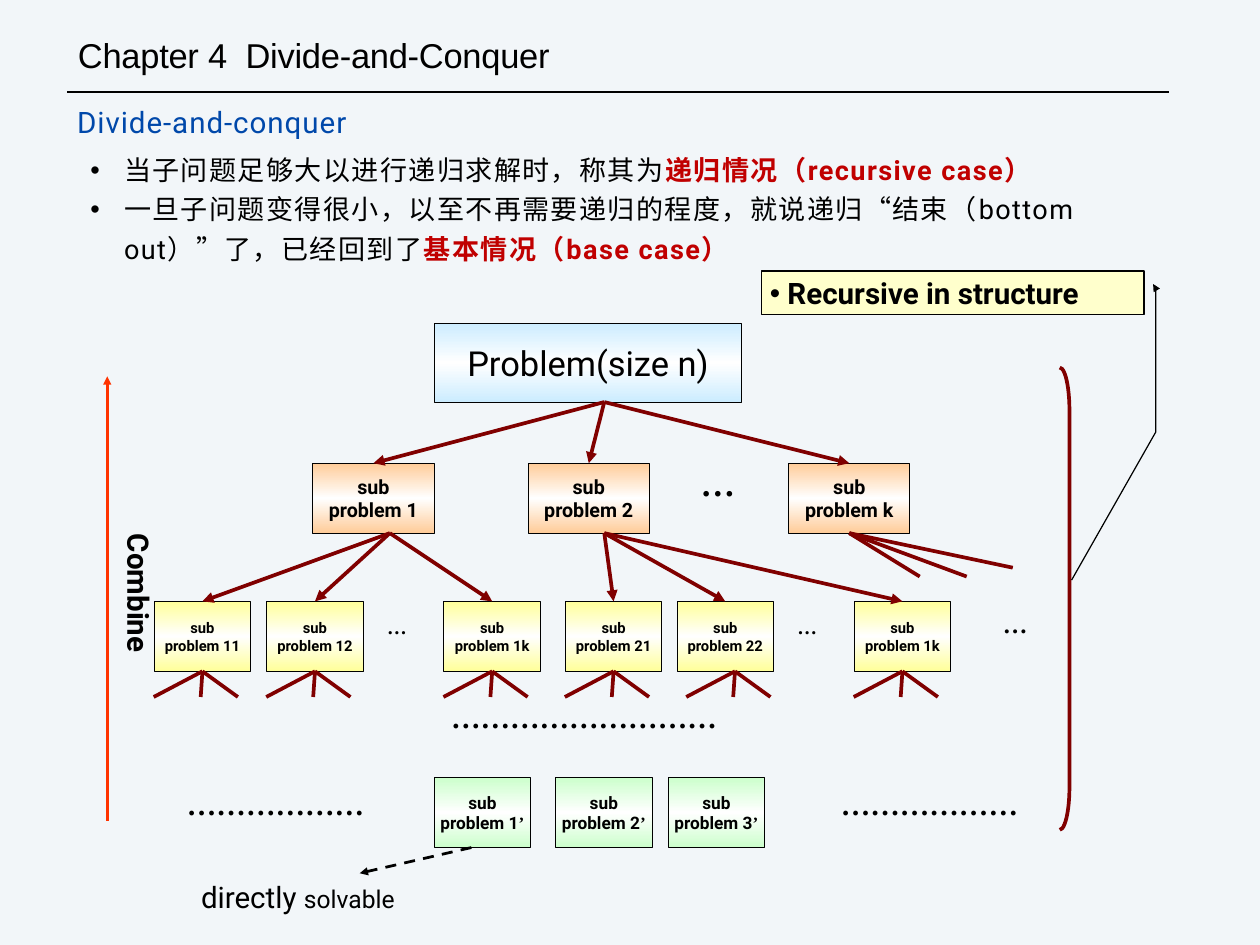
from copy import deepcopy
from dataclasses import dataclass

from pptx import Presentation
from pptx.dml.color import RGBColor
from pptx.enum.dml import MSO_LINE
from pptx.enum.shapes import MSO_CONNECTOR, MSO_SHAPE
from pptx.enum.text import MSO_ANCHOR, MSO_AUTO_SIZE, PP_ALIGN
from pptx.oxml.ns import qn
from pptx.util import Inches, Pt
from lxml.etree import SubElement


@dataclass(frozen=True)
class Theme:
    background: str = "F2F6F9"
    ink: str = "000000"
    heading: str = "0048AA"
    accent: str = "C00000"
    branch: str = "800000"
    combine: str = "FF3300"
    note: str = "FFFFCC"
    root: str = "CCECFF"
    middle: str = "FFCC99"
    lower: str = "FFFF99"
    base: str = "CCFFCC"
    sans: str = "Roboto"
    serif: str = "Times New Roman"
    title_font: str = "Arial"
    title_size: int = 28
    heading_size: int = 24
    body_size: int = 22
    middle_size: int = 16
    lower_size: int = 12
    base_size: int = 14


THEME = Theme()

TITLE = "Chapter 4  Divide-and-Conquer"
HEADING = "Divide-and-conquer"
# (text, emphasised) runs of each bullet
BULLETS = [
    [("当子问题足够大以进行递归求解时，称其为", False), ("递归情况（recursive case）", True)],
    [("一旦子问题变得很小，以至不再需要递归的程度，就说递归“结束（bottom out）”了，已经回到了", False),
     ("基本情况（base case）", True)],
]
# (name, left)
MIDDLE = [("1", 3.53), ("2", 5.96), ("k", 8.9)]
LOWER = [("11", 1.74), ("12", 3.01), ("1k", 5.01), ("21", 6.38), ("22", 7.64), ("1k", 9.64)]
BASE = [("1", 4.9), ("2", 6.27), ("3", 7.54)]
# (text, left, top, width, height, size)
ELLIPSES = [("…", 7.81, 5.17, 0.75, 0.67, 28), ("…", 4.27, 6.89, 0.54, 0.44, 16),
            ("…", 8.9, 6.89, 0.54, 0.44, 16), ("…", 11.22, 6.83, 0.61, 0.51, 20)]
DOTTED_ROWS = [("………………………", 3.85, 7.89, 5.48), ("………………", 1.74, 8.88, 2.74),
               ("………………", 9.12, 8.88, 2.74)]

MIDDLE_TOP, LOWER_TOP, BASE_TOP = 5.23, 6.79, 8.78
MIDDLE_WIDTH, LOWER_WIDTH, BOX_HEIGHT = 1.37, 1.09, 0.79
ROOT_FORK = (6.82, 4.54)
MIDDLE_BOTTOM, LOWER_BOTTOM = MIDDLE_TOP + BOX_HEIGHT, LOWER_TOP + BOX_HEIGHT
MIDDLE_FORKS = [4.4, 6.82]
OPEN_BRANCHES = [(10.38, 6.51), (10.91, 6.51), (11.43, 6.41)]
FOOT_OFFSETS, FEET_BOTTOM = (-0.55, -0.02, 0.4), 7.87
SHIFTED_FEET = {"22": 0.11}
TOP, BOTTOM = 0, 2

presentation = Presentation()
presentation.slide_width, presentation.slide_height = Inches(14.22), Inches(10.67)
slide = presentation.slides.add_slide(presentation.slide_layouts[5])
slide.background.fill.solid()
slide.background.fill.fore_color.rgb = RGBColor.from_string(THEME.background)


def add_run(paragraph, text, size, font=THEME.sans, color=THEME.ink, bold=False, spacing=0):
    run = paragraph.add_run()
    run.text = text
    run.font.size, run.font.name, run.font.bold = Pt(size), font, bold
    run.font.color.rgb = RGBColor.from_string(color)
    if spacing:
        run._r.get_or_add_rPr().set("spc", str(round(spacing * 100)))


def add_bullet(paragraph, margin=0.0, indent=0.0):
    properties = paragraph._p.get_or_add_pPr()
    properties.set("marL", str(Inches(margin)))
    properties.set("indent", str(Inches(indent)))
    SubElement(properties, qn("a:buFont")).set("typeface", "Arial")
    SubElement(properties, qn("a:buChar")).set("char", "•")


def set_frame(frame, insets=(0.1, 0.05, 0.1, 0.05), wrap=True, anchor=MSO_ANCHOR.TOP,
              fit=MSO_AUTO_SIZE.NONE):
    left, top, right, bottom = map(Inches, insets)
    frame.margin_left, frame.margin_top = left, top
    frame.margin_right, frame.margin_bottom = right, bottom
    frame.auto_size, frame.word_wrap, frame.vertical_anchor = fit, wrap, anchor
    return frame


def add_text(left, top, width, height, **frame_options):
    box = slide.shapes.add_textbox(*map(Inches, (left, top, width, height)))
    return set_frame(box.text_frame, fit=MSO_AUTO_SIZE.SHAPE_TO_FIT_TEXT, **frame_options)


def add_outlined(kind, left, top, width, height, color=THEME.ink, weight=0.75):
    shape = slide.shapes.add_shape(kind, *map(Inches, (left, top, width, height)))
    shape.shadow.inherit = False
    shape.line.color.rgb = RGBColor.from_string(color)
    shape.line.width = Pt(weight)
    return shape


def add_box(left, top, width, height, color, size, lines, bold=True):
    """Draw a box shaded from color to white and back; lines hold (text, font) runs."""
    shape = add_outlined(MSO_SHAPE.RECTANGLE, left, top, width, height)
    shape.fill.gradient()
    shape.fill.gradient_angle = 90
    stops = shape._element.spPr.find(".//" + qn("a:gsLst"))
    stops.insert(1, deepcopy(stops[0]))
    for stop, position, shade in zip(shape.fill.gradient_stops, (0, 0.5, 1), (color, "FFFFFF", color)):
        stop.position, stop.color.rgb = position, RGBColor.from_string(shade)
    frame = set_frame(shape.text_frame, wrap=False, anchor=MSO_ANCHOR.MIDDLE)
    for index, runs in enumerate(lines):
        paragraph = frame.add_paragraph() if index else frame.paragraphs[0]
        paragraph.alignment = PP_ALIGN.CENTER
        for text, font in runs:
            add_run(paragraph, text, size, font, bold=bold)
    return shape


def add_subproblem(name, left, top, width, color, size, suffix=()):
    lines = [[("sub", THEME.sans)], [(f"problem {name}", THEME.sans), *suffix]]
    return add_box(left, top, width, BOX_HEIGHT, color, size, lines)


def add_line(start, end, color=THEME.branch, weight=3.0, arrow=False, dash=None, source=None, target=None):
    """Draw a line, joined to the bottom of source and the top of target when given."""
    line = slide.shapes.add_connector(MSO_CONNECTOR.STRAIGHT, *map(Inches, (*start, *end)))
    if source is not None:
        line.begin_connect(source, BOTTOM)
    if target is not None:
        line.end_connect(target, TOP)
    line.line.color.rgb = RGBColor.from_string(color)
    line.line.width = Pt(weight)
    if dash:
        line.line.dash_style = dash
    if arrow:
        SubElement(line.line._get_or_add_ln(), qn("a:tailEnd")).set("type", "triangle")
    SubElement(line._element.spPr, qn("a:effectLst"))


# Title and introduction
title = slide.shapes.title
title.left, title.top, title.width, title.height = map(Inches, (0.88, 0.38, 6.02, 0.49))
paragraph = set_frame(title.text_frame, (0, 0.01, 0, 0)).paragraphs[0]
paragraph.alignment, paragraph.space_before = PP_ALIGN.LEFT, Pt(1)
add_run(paragraph, TITLE, THEME.title_size, THEME.title_font, spacing=-0.2)
add_line((0.76, 1.04), (13.19, 1.04), THEME.ink, 1)

introduction = add_text(0.87, 1.2, 12.32, 1.81, insets=(0, 0.01, 0, 0))
paragraph = introduction.paragraphs[0]
paragraph.line_spacing, paragraph.space_before = Pt(26.1), Pt(1)
add_run(paragraph, HEADING, THEME.heading_size, color=THEME.heading, spacing=0.8)
for runs, space in zip(BULLETS, (6, 0)):
    paragraph = introduction.add_paragraph()
    paragraph.line_spacing, paragraph.space_before = Pt(32), Pt(space)
    add_bullet(paragraph, 0.53, -0.38)
    for text, strong in runs:
        add_run(paragraph, text, THEME.body_size, color=THEME.accent if strong else THEME.ink,
                bold=strong, spacing=1.2)

# Problem tree
add_box(4.9, 3.65, 3.47, 0.89, THEME.root, THEME.title_size, [[("Problem(size n)", THEME.sans)]], bold=False)
middle_boxes = [add_subproblem(name, left, MIDDLE_TOP, MIDDLE_WIDTH, THEME.middle, THEME.middle_size)
                for name, left in MIDDLE]
lower_boxes = [add_subproblem(name, left, LOWER_TOP, LOWER_WIDTH, THEME.lower, THEME.lower_size)
               for name, left in LOWER]
base_boxes = [add_subproblem(name, left, BASE_TOP, LOWER_WIDTH, THEME.base, THEME.base_size,
                             [("’", THEME.serif)]) for name, left in BASE]
for box in middle_boxes:
    add_line(ROOT_FORK, ROOT_FORK, arrow=True, target=box)
for index, box in enumerate(lower_boxes):
    fork = (MIDDLE_FORKS[index // 3], MIDDLE_BOTTOM)
    add_line(fork, fork, arrow=True, target=box)
for end in OPEN_BRANCHES:
    add_line((9.59, MIDDLE_BOTTOM), end, source=middle_boxes[-1])
for (name, left), box in zip(LOWER, lower_boxes):
    shift = SHIFTED_FEET.get(name, 0)
    center = left + LOWER_WIDTH / 2 + shift
    for offset in FOOT_OFFSETS:
        add_line((center, LOWER_BOTTOM), (center + offset, FEET_BOTTOM), source=None if shift else box)

for text, left, top, width, height, size in ELLIPSES:
    frame = add_text(left, top, width, height, wrap=False)
    add_run(frame.paragraphs[0], text, size, THEME.serif, bold=True)
for text, left, top, width in DOTTED_ROWS:
    paragraph = add_text(left, top, width, 0.49, insets=(0.1, 0, 0.1, 0.01)).paragraphs[0]
    paragraph.alignment = PP_ALIGN.CENTER
    add_run(paragraph, text, THEME.heading_size, THEME.serif, bold=True)

# Annotations
add_line((1.21, 9.27), (1.21, 4.25), THEME.combine, 2.25, arrow=True)
combine = add_text(1.06, 5.93, 0.76, 1.86, wrap=False)
combine._txBody.bodyPr.set("vert", "eaVert")
add_run(combine.paragraphs[0], "Combine", THEME.heading_size, bold=True)

bracket = add_outlined(MSO_SHAPE.RIGHT_BRACKET, 11.96, 4.15, 0.11, 5.22, THEME.branch, 3)
bracket.fill.background()
bracket.adjustments[0] = 4.417

solvable = add_text(2.17, 9.88, 2.98, 0.59, wrap=False).paragraphs[0]
add_run(solvable, "directly ", THEME.heading_size)
add_run(solvable, "solvable", 20)
add_line((5.32, 9.57), (4.06, 9.86), THEME.ink, 2.25, arrow=True, dash=MSO_LINE.DASH)

callout = add_outlined(MSO_SHAPE.LINE_CALLOUT_3, 8.59, 3.06, 4.32, 0.49, weight=1)
callout.fill.solid()
callout.fill.fore_color.rgb = RGBColor.from_string(THEME.note)
for index, value in enumerate((0.3, 1.024, 0.3, 1.031, 3.708, 1.031, 7.121, 0.811)):
    callout.adjustments[index] = value
SubElement(callout.line._get_or_add_ln(), qn("a:headEnd")).set("type", "triangle")
paragraph = set_frame(callout.text_frame).paragraphs[0]
paragraph.alignment = PP_ALIGN.LEFT
add_bullet(paragraph)
add_run(paragraph, " ", THEME.heading_size)
add_run(paragraph, "Recursive in structure", THEME.heading_size, bold=True)

presentation.save("out.pptx")
